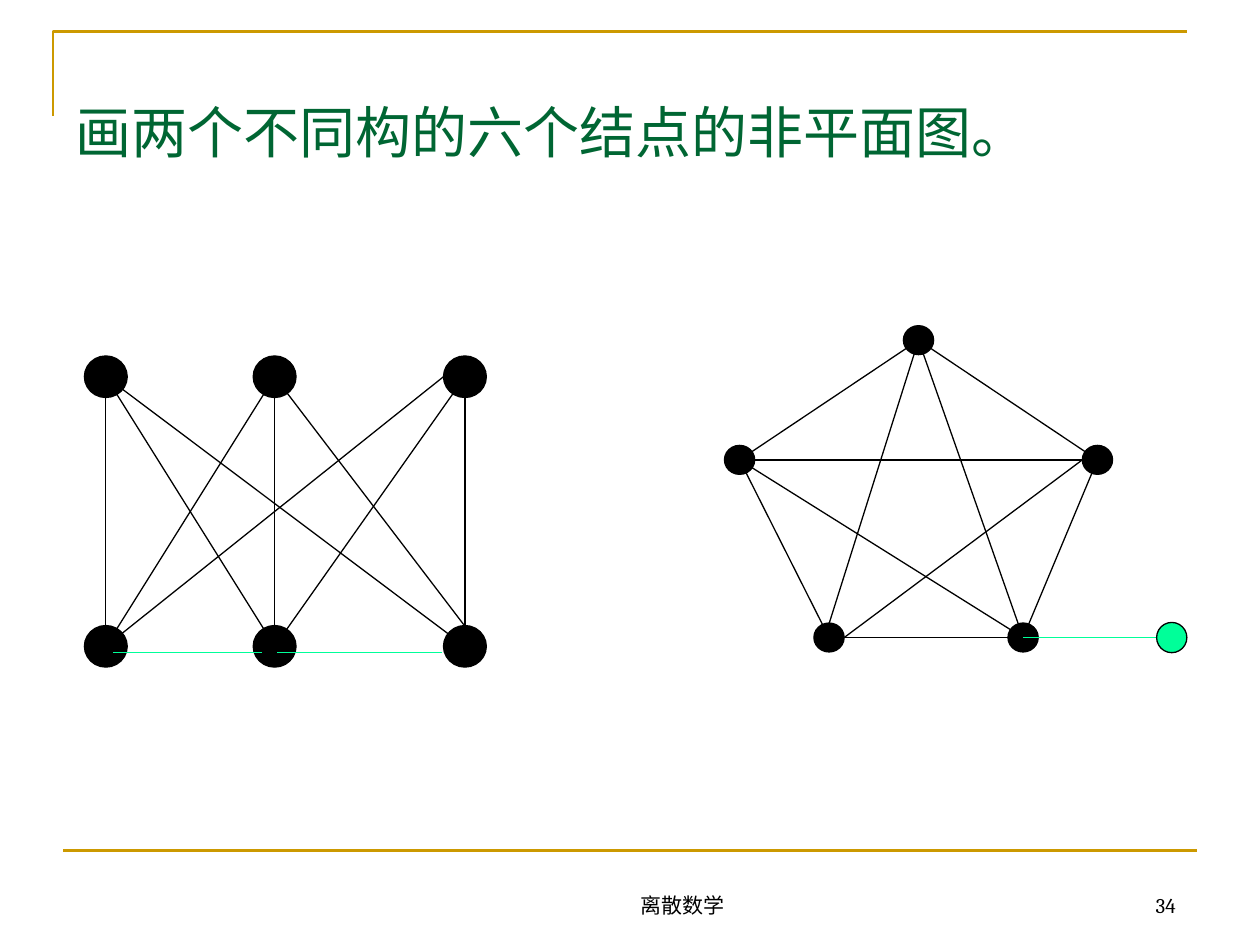
from dataclasses import dataclass

from pptx import Presentation
from pptx.dml.color import RGBColor
from pptx.enum.shapes import MSO_CONNECTOR as Connector, MSO_SHAPE as Shape
from pptx.enum.text import MSO_ANCHOR as Anchor, MSO_AUTO_SIZE as AutoSize, PP_ALIGN as Align
from pptx.oxml.ns import qn
from pptx.util import Inches, Pt
from lxml.etree import SubElement

COLORS = {"ink": "000000", "mint": "00FF99", "title": "006633", "gold": "CC9900"}
FONT = "Cambria"


@dataclass(frozen=True)
class Point:
    x: float
    y: float


@dataclass(frozen=True)
class Edge:
    """Joins two nodes; the shifts move its ends off the node centres."""
    start: str
    end: str
    start_dx: float = 0
    end_dx: float = 0
    end_dy: float = 0


@dataclass(frozen=True)
class Graph:
    nodes: dict[str, Point]
    edges: list[Edge]
    width: float
    height: float


def color(key: str) -> RGBColor:
    return RGBColor.from_string(COLORS[key])


def draw_line(slide, start: Point, end: Point, key: str = "ink", weight: float = 0.75) -> None:
    line = slide.shapes.add_connector(
        Connector.STRAIGHT, *(Inches(v) for v in (start.x, start.y, end.x, end.y)))
    line.line.color.rgb = color(key)
    line.line.width = Pt(weight)
    SubElement(line._element.spPr, qn("a:effectLst"))


def draw_node(slide, center: Point, width: float, height: float, key: str = "ink") -> None:
    node = slide.shapes.add_shape(
        Shape.OVAL, Inches(center.x - width / 2), Inches(center.y - height / 2),
        Inches(width), Inches(height))
    node.shadow.inherit = False
    node.fill.solid()
    node.fill.fore_color.rgb = color(key)
    node.line.color.rgb = color("ink")
    node.line.width = Pt(0.75)


def draw_graph(slide, graph: Graph) -> None:
    for center in graph.nodes.values():
        draw_node(slide, center, graph.width, graph.height)
    for edge in graph.edges:
        start, end = graph.nodes[edge.start], graph.nodes[edge.end]
        draw_line(slide, Point(start.x + edge.start_dx, start.y),
                  Point(end.x + edge.end_dx, end.y + edge.end_dy))


def write_text(shape, text: str, size: int, key: str, align: Align, anchor: Anchor) -> None:
    frame = shape.text_frame
    frame.text = text
    frame_format = {"word_wrap": True, "auto_size": AutoSize.NONE, "vertical_anchor": anchor}
    for name, value in frame_format.items():
        setattr(frame, name, value)
    paragraph = frame.paragraphs[0]
    paragraph.alignment = align
    font = paragraph.runs[0].font
    for name, value in {"size": Pt(size), "name": FONT, "bold": False}.items():
        setattr(font, name, value)
    font.color.rgb = color(key)


def draw_frame(slide) -> None:
    corner = slide.shapes.build_freeform(Inches(0.42), Inches(0.92))
    corner.add_line_segments(
        [(Inches(0.42), Inches(0.25)), (Inches(9.42), Inches(0.25))], close=False)
    bracket = corner.convert_to_shape()
    bracket.shadow.inherit = False
    bracket.fill.background()
    bracket.line.color.rgb = color("gold")
    bracket.line.width = Pt(1.5)
    draw_line(slide, Point(0.5, 6.75), Point(9.5, 6.75), "gold", 1.5)


# Complete bipartite graph: upper nodes u, lower nodes v
COLUMNS = [0.84, 2.18, 3.69]
SHIFTS = {("u3", "v1"): {"start_dx": -0.17}, ("u2", "v3"): {"end_dy": -0.16}}
bipartite = Graph(
    nodes={f"{row}{i}": Point(x, y)
           for row, y in (("u", 2.99), ("v", 5.13)) for i, x in enumerate(COLUMNS, 1)},
    edges=[Edge(u, v, **SHIFTS.get((u, v), {}))
           for u in ("u1", "u2", "u3") for v in ("v1", "v2", "v3")],
    width=0.34, height=0.33)

# Complete graph on five nodes
pentagon = Graph(
    nodes={"top": Point(7.29, 2.7), "left": Point(5.87, 3.65), "right": Point(8.71, 3.65),
           "low_left": Point(6.58, 5.06), "low_right": Point(8.12, 5.06)},
    edges=[Edge("top", "low_left", end_dy=-0.11), Edge("left", "right", start_dx=0.12),
           Edge("right", "low_left", start_dx=-0.12, end_dx=0.12),
           Edge("left", "low_right"), Edge("top", "low_right"), Edge("top", "left"),
           Edge("left", "low_left"), Edge("top", "right"),
           Edge("low_left", "low_right", end_dx=0.11), Edge("right", "low_right")],
    width=0.24, height=0.23)


def main() -> None:
    deck = Presentation()
    deck.slide_width, deck.slide_height = Inches(10), Inches(7.5)
    slide = deck.slides.add_slide(deck.slide_layouts[5])
    draw_frame(slide)

    # Title
    title = slide.shapes.title
    title_box = {"left": 0.5, "top": 0.72, "width": 9.25, "height": 1.61}
    for name, value in title_box.items():
        setattr(title, name, Inches(value))
    write_text(title, "画两个不同构的六个结点的非平面图。", 32, "title", Align.LEFT, Anchor.TOP)

    # Both graphs, then the added sixth node and edges in mint
    draw_graph(slide, bipartite)
    draw_graph(slide, pentagon)
    sixth = Point(9.3, 5.06)
    draw_line(slide, pentagon.nodes["low_right"], sixth, "mint")
    draw_node(slide, sixth, 0.24, 0.24, "mint")
    for start_x, end_x in ((0.9, 2.08), (2.2, 3.51)):
        draw_line(slide, Point(start_x, 5.18), Point(end_x, 5.18), "mint")

    # Footer and page number
    for text, left, width, align in (("离散数学", 3.83, 3.17, Align.CENTER),
                                     ("34", 8.33, 1.1, Align.RIGHT)):
        box = slide.shapes.add_textbox(Inches(left), Inches(6.83), Inches(width), Inches(0.5))
        write_text(box, text, 12, "ink", align, Anchor.BOTTOM)

    deck.save("out.pptx")


if __name__ == "__main__":
    main()
